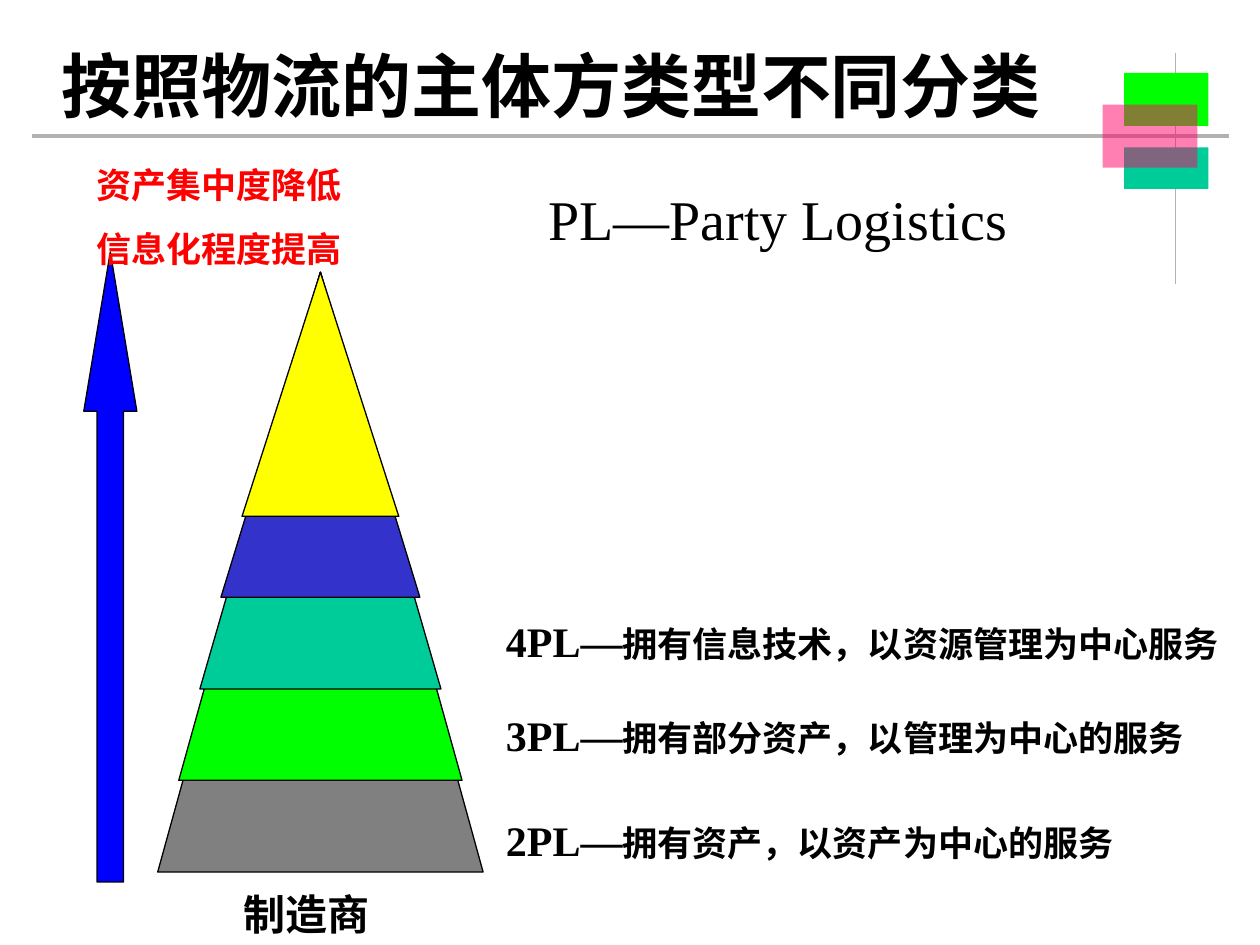
from dataclasses import dataclass

from lxml import etree
from pptx import Presentation
from pptx import util as u
from pptx.dml.color import RGBColor
from pptx.enum import shapes, text
from pptx.oxml.ns import qn


@dataclass(frozen=True)
class Theme:
    font: str = "Times New Roman"
    ink: str = "000000"
    rule: str = "B2B2B2"
    green: str = "00FF00"
    teal: str = "00CC99"
    pink: str = "FF0066"
    gray: str = "808080"
    indigo: str = "3333CC"
    yellow: str = "FFFF00"
    arrow: str = "0000FF"
    trend: str = "FF0000"
    title_size: float = 40
    term_size: float = 32
    label_size: float = 24
    body_size: float = 20
    outline: float = 0.75
    heavy_rule: float = 2.25


THEME = Theme()


def add_rule(slide, start, end, weight):
    rule = slide.shapes.add_connector(
        shapes.MSO_CONNECTOR.STRAIGHT, *map(u.Cm, start + end))
    rule.line.color.rgb = RGBColor.from_string(THEME.rule)
    rule.line.width = u.Pt(weight)
    etree.SubElement(rule._element.spPr, qn("a:effectLst"))


def add_solid(slide, preset, box, color, outlined=True):
    solid = slide.shapes.add_shape(preset, *map(u.Cm, box))
    solid.shadow.inherit = False
    solid.fill.solid()
    solid.fill.fore_color.rgb = RGBColor.from_string(color)
    if outlined:
        solid.line.color.rgb = RGBColor.from_string(THEME.ink)
        solid.line.width = u.Pt(THEME.outline)
    else:
        solid.line.fill.background()
    return solid


def make_translucent(solid, percent):
    color = solid.fill._xPr.find(qn("a:solidFill"))[0]
    etree.SubElement(color, qn("a:alpha"), val=str(percent * 1000))


def add_text(slide, box, lines, color=THEME.ink, bold=True, gap=0,
             align=text.PP_ALIGN.LEFT, anchor=text.MSO_ANCHOR.TOP):
    """Each line is a list of (wording, size) runs; gap separates lines in points."""
    frame = slide.shapes.add_textbox(*map(u.Cm, box)).text_frame
    frame.word_wrap = True
    frame.vertical_anchor = anchor
    for index, runs in enumerate(lines):
        paragraph = frame.add_paragraph() if index else frame.paragraphs[0]
        paragraph.alignment = align
        if index:
            paragraph.space_before = u.Pt(gap)
        for wording, size in runs:
            run = paragraph.add_run()
            run.text = wording
            run.font.name = THEME.font
            run.font.size = u.Pt(size)
            run.font.bold = bold
            run.font.color.rgb = RGBColor.from_string(color)


def add_decoration(slide):
    add_rule(slide, (0.64, 2.74), (24.77, 2.74), THEME.heavy_rule)
    add_rule(slide, (23.7, 1.07), (23.7, 5.72), THEME.outline)
    rectangle = shapes.MSO_SHAPE.RECTANGLE
    add_solid(slide, rectangle, (22.66, 1.47, 1.7, 1.07), THEME.green, False)
    add_solid(slide, rectangle, (22.66, 2.97, 1.7, 0.84), THEME.teal, False)
    overlay = add_solid(slide, rectangle, (22.23, 2.11, 1.91, 1.27), THEME.pink, False)
    make_translucent(overlay, 50)


def add_pyramid(slide):
    """Stack ever smaller triangles so that each one shows as a band."""
    center, widest, narrowing = 6.46, 6.56, 0.85
    tiers = [(5.69, 17.58, THEME.gray), (5.49, 15.73, THEME.green),
             (5.49, 13.89, THEME.teal), (5.49, 12.04, THEME.indigo),
             (5.49, 10.41, THEME.yellow)]
    for level, (apex, base, color) in enumerate(tiers):
        width = widest - narrowing * level
        add_solid(slide, shapes.MSO_SHAPE.ISOSCELES_TRIANGLE,
                  (center - width / 2, apex, width, base - apex), color)


def add_trend(slide):
    arrow = add_solid(slide, shapes.MSO_SHAPE.UP_ARROW,
                      (1.69, 5.08, 1.07, 12.7), THEME.arrow)
    arrow.adjustments[0] = 0.5
    arrow.adjustments[1] = 3
    trends = ["资产集中度降低", "信息化程度提高"]
    add_text(slide, (1.69, 3.18, 5.5, 2.39),
             [[(trend, THEME.body_size)] for trend in trends],
             color=THEME.trend, gap=12.5)


def add_levels(slide):
    levels = [(12.28, "4PL—", "拥有信息技术，以资源管理为中心服务"),
              (14.18, "3PL—", "拥有部分资产，以管理为中心的服务"),
              (16.3, "2PL—", "拥有资产，以资产为中心的服务")]
    for top, level, meaning in levels:
        add_text(slide, (9.95, top, 15.45, 1.27),
                 [[(level, THEME.label_size), (meaning, THEME.body_size)]])


def main():
    deck = Presentation()
    deck.slide_width, deck.slide_height = u.Cm(25.4), u.Cm(19.05)
    slide = deck.slides.add_slide(deck.slide_layouts[6])
    add_decoration(slide)
    add_text(slide, (0.85, 0.64, 20.53, 2.11),
             [[("按照物流的主体方类型不同分类", THEME.title_size)]],
             align=text.PP_ALIGN.CENTER, anchor=text.MSO_ANCHOR.MIDDLE)
    add_pyramid(slide)
    add_trend(slide)
    add_levels(slide)
    add_text(slide, (4.66, 17.78, 3.39, 1.27), [[("制造商", THEME.label_size)]])
    add_text(slide, (10.8, 3.6, 10.16, 1.63),
             [[("PL—Party Logistics", THEME.term_size)]], bold=False)
    deck.save("out.pptx")


if __name__ == "__main__":
    main()
